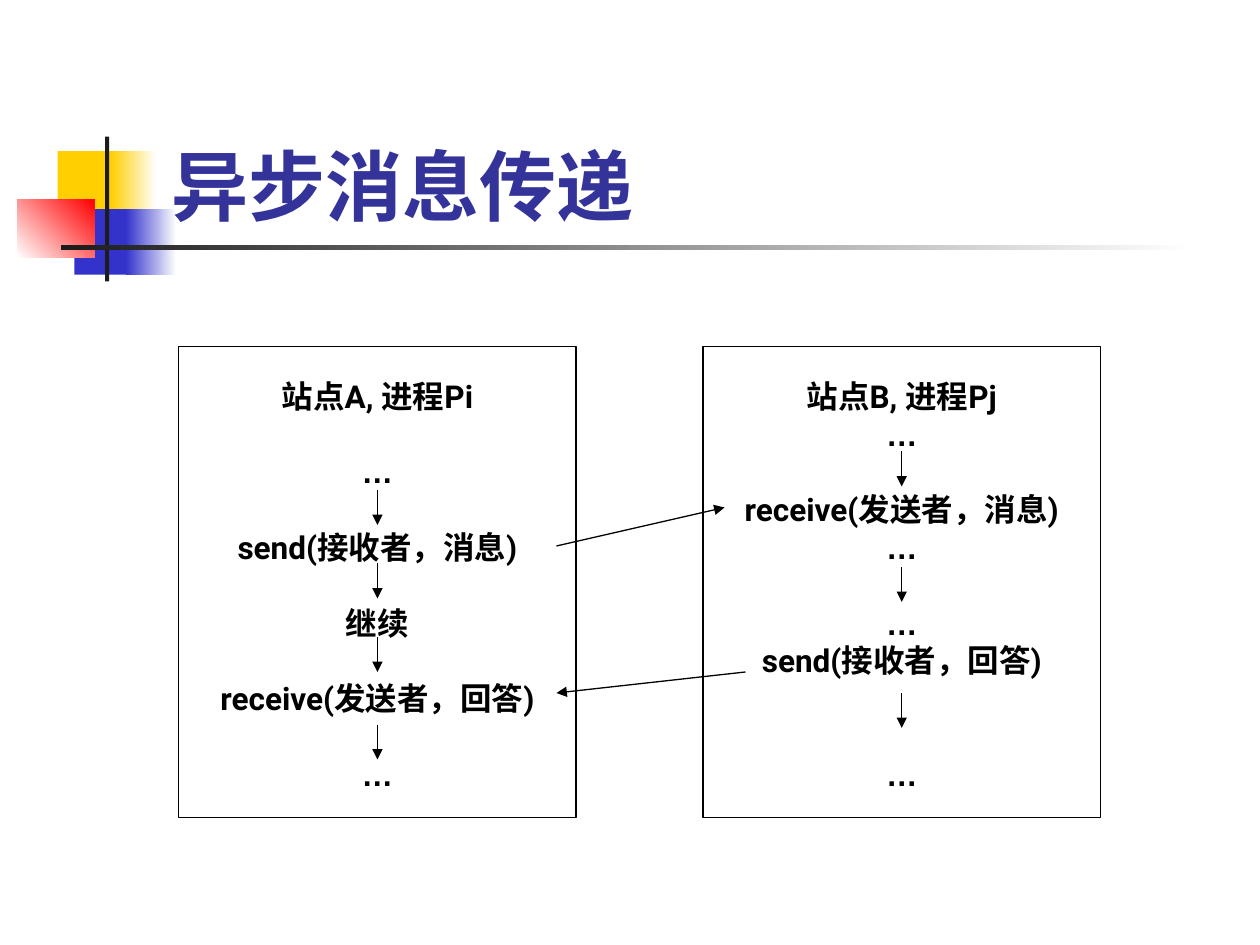
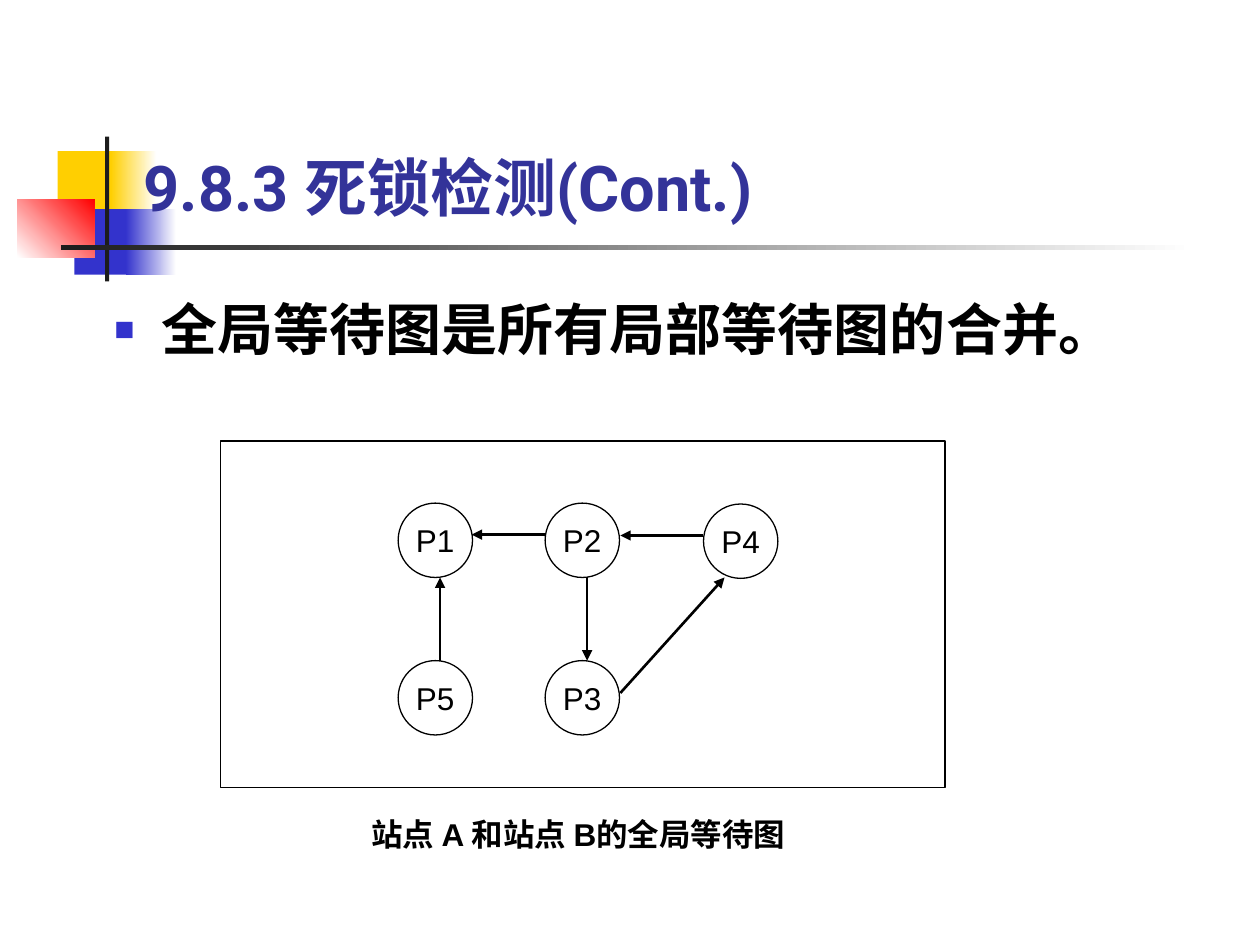
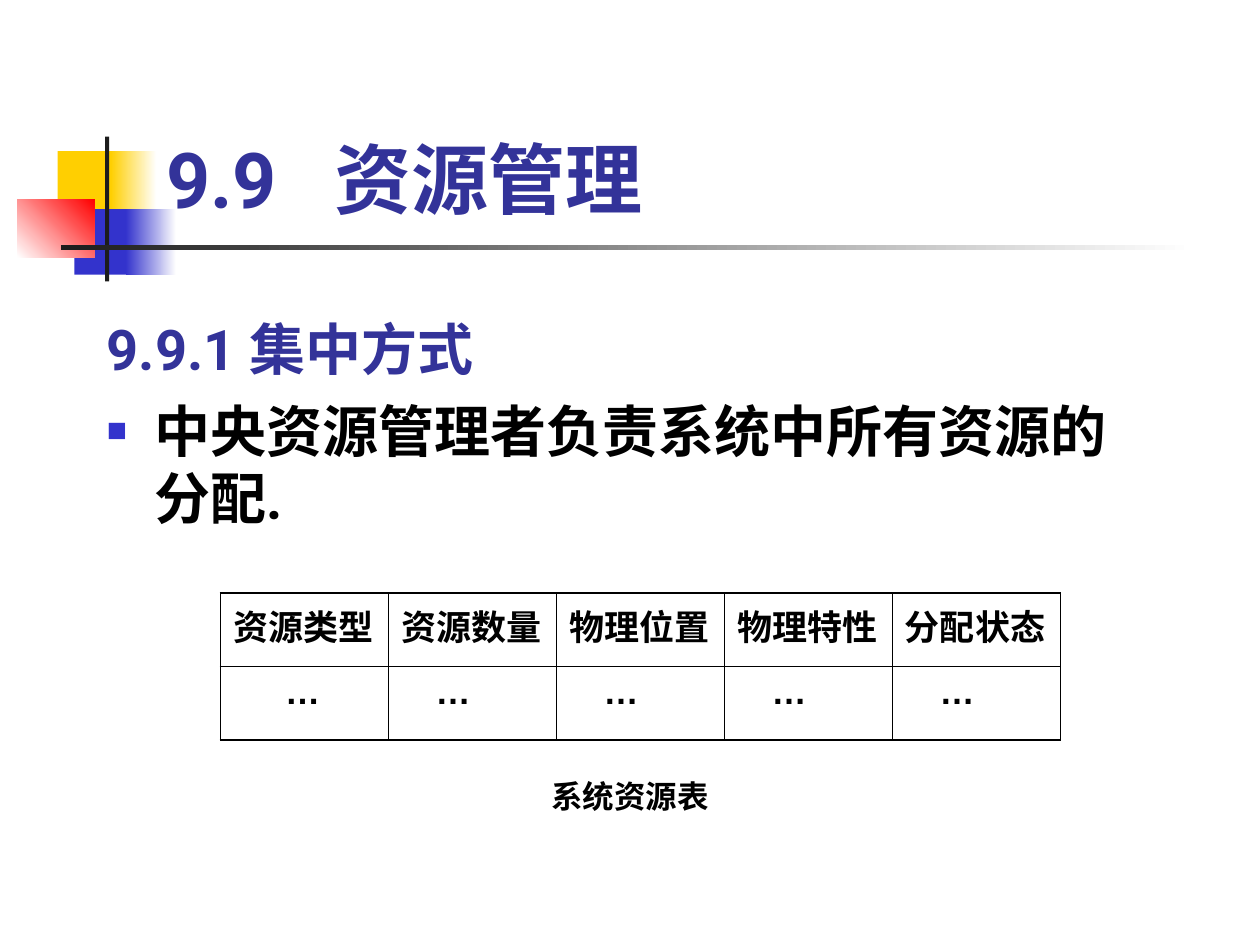
from dataclasses import dataclass

from lxml.etree import SubElement
from pptx import Presentation
from pptx.dml.color import RGBColor as RGB
from pptx.enum.shapes import MSO_CONNECTOR as LINK, MSO_SHAPE as SHAPE
from pptx.enum.text import MSO_ANCHOR as ANCHOR, MSO_AUTO_SIZE as FIT, PP_ALIGN as ALIGN
from pptx.oxml.ns import qn
from pptx.util import Pt


@dataclass(frozen=True)
class Theme:
    """Colours, fonts and type sizes shared by the slides."""
    ink: str = "000000"
    dark: str = "1C1C1C"
    white: str = "FFFFFF"
    gold: str = "FFCF01"
    blue: str = "3333CC"
    red: str = "FF0000"
    head: str = "333399"
    face: str = "Roboto"
    plain: str = "Arial"
    cjk: str = "Noto Sans CJK SC"
    title: int = 44
    body: int = 32
    cell: int = 20
    label: int = 18
    pitch: float = 1.2
    drop: float = 0.09
    inset: float = 3.6
    thin: float = 0.75
    thick: float = 1.5


T = Theme()
DOTS = "…"


def add_run(para, text, size, color=T.ink, face=T.face, bold=True):
    """Add one run of text with its font."""
    run = para.add_run()
    run.text = text
    font = run.font
    font.size, font.bold, font.name = Pt(size), bold, face
    font.color.rgb = RGB.from_string(color)
    if text != DOTS:
        SubElement(run._r.get_or_add_rPr(), qn("a:ea"), typeface=T.cjk)


def set_frame(frame, anchor, size=0, wrap=True):
    """Set insets, anchor and wrapping, and centre fixed-pitch lines of this size."""
    shift = T.drop * size
    frame.auto_size = FIT.NONE
    frame.word_wrap = wrap
    frame.vertical_anchor = anchor
    frame.margin_left = frame.margin_right = Pt(7.2)
    frame.margin_top = Pt(T.inset + shift)
    frame.margin_bottom = Pt(max(0, T.inset - shift))


def set_para(para, size, gap=0, align=ALIGN.LEFT):
    """Set a fixed line pitch, the space before and the alignment."""
    para.line_spacing = Pt(size * T.pitch)
    para.alignment = align
    if gap:
        para.space_before = Pt(gap)


def add_bullet(para):
    """Give a paragraph a small blue square and a hanging indent."""
    props = para._p.get_or_add_pPr()
    props.set("marL", str(Pt(27)))
    props.set("indent", str(-Pt(27)))
    SubElement(SubElement(props, qn("a:buClr")), qn("a:srgbClr"), val=T.blue)
    SubElement(props, qn("a:buSzPct"), val="60000")
    SubElement(props, qn("a:buFont"), typeface=T.plain)
    SubElement(props, qn("a:buChar"), char="■")


def add_shape(slide, kind, box):
    """Add an unfilled shape with a thin outline."""
    shape = slide.shapes.add_shape(kind, *map(Pt, box))
    shape.shadow.inherit = False
    shape.fill.background()
    shape.line.color.rgb = RGB.from_string(T.ink)
    shape.line.width = Pt(T.thin)
    return shape


def add_arrow(slide, start, end, width=T.thin):
    """Add a straight line with an arrowhead at its end."""
    line = slide.shapes.add_connector(LINK.STRAIGHT, *map(Pt, (*start, *end)))
    line.line.color.rgb = RGB.from_string(T.ink)
    line.line.width = Pt(width)
    SubElement(line.line._get_or_add_ln(), qn("a:tailEnd"), type="triangle")
    SubElement(line.element.spPr, qn("a:effectLst"))


def add_decor(slide):
    """Draw the coloured blocks and rules, and move them to the layout."""
    parts = [
        ((33, 86.4, 34.6, 37.4), T.gold, None, 0),
        ((63.4, 86.4, 26, 37.4), T.gold, T.white, 0),
        ((42.5, 119.5, 33.1, 37.4), T.blue, None, 0),
        ((72, 119.5, 28.8, 37.4), T.blue, T.white, 0),
        ((10, 113.8, 44, 33.4), T.white, T.red, 45),
        ((60, 78, 2.4, 82.8), T.dark, None, 0),
        ((34.6, 140.2, 648, 2.4), T.dark, T.white, 0),
    ]
    tree = slide.slide_layout.shapes.element
    for num, (box, near, far, angle) in enumerate(parts, 100):
        part = add_shape(slide, SHAPE.RECTANGLE, box)
        part.line.fill.background()
        if far:
            part.fill.gradient()
            part.fill.gradient_angle = angle
            for stop, color in zip(part.fill.gradient_stops, (near, far)):
                stop.color.rgb = RGB.from_string(color)
        else:
            part.fill.solid()
            part.fill.fore_color.rgb = RGB.from_string(near)
        part.element.nvSpPr.cNvPr.set("id", str(num))
        tree.append(part.element)


def add_title(slide, box, text, size=T.title, tab=0):
    """Place and fill the title, with a tab stop if one is given."""
    title = slide.shapes.title
    title.left, title.top, title.width, title.height = map(Pt, box)
    set_frame(title.text_frame, ANCHOR.BOTTOM, size)
    para = title.text_frame.paragraphs[0]
    set_para(para, size)
    if tab:
        tabs = SubElement(para._p.get_or_add_pPr(), qn("a:tabLst"))
        SubElement(tabs, qn("a:tab"), pos=str(Pt(tab)), algn="l")
    add_run(para, text, size, T.head)


def add_body(slide, box, point, head=None):
    """Add a bullet point below an optional heading."""
    frame = slide.shapes.add_textbox(*map(Pt, box)).text_frame
    set_frame(frame, ANCHOR.TOP, T.body)
    para = frame.paragraphs[0]
    if head:
        set_para(para, T.body)
        add_run(para, head, T.body, T.head)
        para = frame.add_paragraph()
    set_para(para, T.body, 8 if head else 0)
    add_bullet(para)
    add_run(para, point, T.body)


def add_note(slide, box, text, face=T.plain):
    """Add a centred caption."""
    frame = slide.shapes.add_textbox(*map(Pt, box)).text_frame
    set_frame(frame, ANCHOR.MIDDLE)
    para = frame.paragraphs[0]
    para.alignment = ALIGN.CENTER
    add_run(para, text, T.label, face=face)


def add_site(slide, box, steps, drops):
    """Draw a site with its steps, each after some open lines, and its arrows."""
    left, top, width, _ = box
    frame = add_shape(slide, SHAPE.RECTANGLE, box).text_frame
    set_frame(frame, ANCHOR.MIDDLE, T.label, False)
    for num, (text, skip) in enumerate(steps):
        para = frame.add_paragraph() if num else frame.paragraphs[0]
        set_para(para, T.label, skip * T.label * T.pitch, ALIGN.CENTER)
        add_run(para, text, T.label, face=T.plain if text == DOTS else T.face)
    mid = left + width / 2
    for drop in drops:
        add_arrow(slide, (mid, top + drop), (mid, top + drop + 20))


def add_graph(slide, box):
    """Draw the wait-for graph inside its frame."""
    left, top, _, _ = box
    size = 42.5
    add_shape(slide, SHAPE.RECTANGLE, box)
    nodes = {"P1": (101.5, 35.5), "P2": (185.5, 35.5), "P3": (185.5, 125.5),
             "P5": (101.5, 125.5), "P4": (276, 36)}
    for name, (x, y) in nodes.items():
        frame = add_shape(slide, SHAPE.OVAL, (left + x, top + y, size, size)).text_frame
        set_frame(frame, ANCHOR.MIDDLE, wrap=False)
        frame.paragraphs[0].alignment = ALIGN.CENTER
        add_run(frame.paragraphs[0], name, T.label, face=T.plain, bold=False)
    edges = [((186, 53.5), (143.5, 53.5)), ((209.5, 78), (209.5, 125.5)),
             ((125.5, 125.5), (125.5, 78)), ((276, 54), (228.5, 54)),
             ((228.5, 144), (288, 78))]
    for start, end in edges:
        add_arrow(slide, *((left + x, top + y) for x, y in (start, end)), T.thick)


def set_edges(cell, widths):
    """Draw the left, right, top and bottom borders of a cell."""
    props = cell._tc.get_or_add_tcPr()
    for num, (side, width) in enumerate(zip("LRTB", widths)):
        line = SubElement(props, qn(f"a:ln{side}"), w=str(Pt(width)))
        fill = SubElement(line, qn("a:solidFill"))
        SubElement(fill, qn("a:srgbClr"), val=T.ink)
        props.insert(num, line)


def add_grid(slide, box, heads):
    """Add the resource table with one row of dots."""
    rows = [heads, [DOTS] * len(heads)]
    table = slide.shapes.add_table(2, len(heads), *map(Pt, box)).table
    table.first_row = table.horz_banding = False
    outer, inner = 1.08, 0.45
    for r, row in enumerate(rows):
        for c, text in enumerate(row):
            cell = table.cell(r, c)
            last = c == len(heads) - 1
            cell.fill.background()
            set_edges(cell, [inner if c else outer, outer if last else inner,
                             inner if r else outer, outer if r else inner])
            cell.margin_top = cell.margin_bottom = Pt(T.inset)
            cell.margin_left = Pt((27 if c else 37) if r else 7.2)
            cell.margin_right = Pt(0)
            face = T.plain if r else T.face
            add_run(cell.text_frame.paragraphs[0], text, T.cell, face=face)


def build_async(slide):
    """Build the slide on asynchronous messages."""
    add_title(slide, (90.7, 16.6, 613.4, 115.2), "异步消息传递")
    add_site(slide, (102.2, 198, 227, 269),
             [("站点A, 进程Pi", 0), (DOTS, 1), ("send(接收者，消息)", 1),
              ("继续", 1), ("receive(发送者，回答)", 1), (DOTS, 1)],
             (82, 124, 166, 216))
    add_site(slide, (401.8, 198, 227, 269),
             [("站点B, 进程Pj", 0), (DOTS, 0), ("receive(发送者，消息)", 1),
              (DOTS, 0), (DOTS, 1), ("send(接收者，回答)", 0), (DOTS, 2)],
             (60, 126, 198))
    add_arrow(slide, (318, 312), (414, 290))
    add_arrow(slide, (426, 384), (318, 396))


def build_detect(slide):
    """Build the slide on deadlock detection."""
    add_title(slide, (74.9, 56.2, 631.4, 72), "9.8.3 死锁检测(Cont.)", 36)
    add_body(slide, (58.3, 162, 630, 57), "全局等待图是所有局部等待图的合并。")
    add_graph(slide, (126, 252, 414, 198))
    add_note(slide, (180, 462.2, 301, 28.8), "站点 A 和站点 B的全局等待图")


def build_manage(slide):
    """Build the slide on resource management."""
    add_title(slide, (87.8, 44, 613.4, 84.2), "9.9\t资源管理", tab=96)
    add_body(slide, (54, 173.5, 612, 130), "中央资源管理者负责系统中所有资源的分配.",
             "9.9.1 集中方式")
    add_grid(slide, (126, 339, 480, 84),
             ["资源类型", "资源数量", "物理位置", "物理特性", "分配状态"])
    add_note(slide, (260, 440.5, 200, 28.8), "系统资源表", T.cjk)


def main():
    """Build and save the slides."""
    deck = Presentation()
    deck.slide_width, deck.slide_height = Pt(720), Pt(540)
    for num, build in enumerate((build_async, build_detect, build_manage)):
        slide = deck.slides.add_slide(deck.slide_layouts[5])
        if num == 0:
            add_decor(slide)
        build(slide)
    deck.save("out.pptx")


if __name__ == "__main__":
    main()
